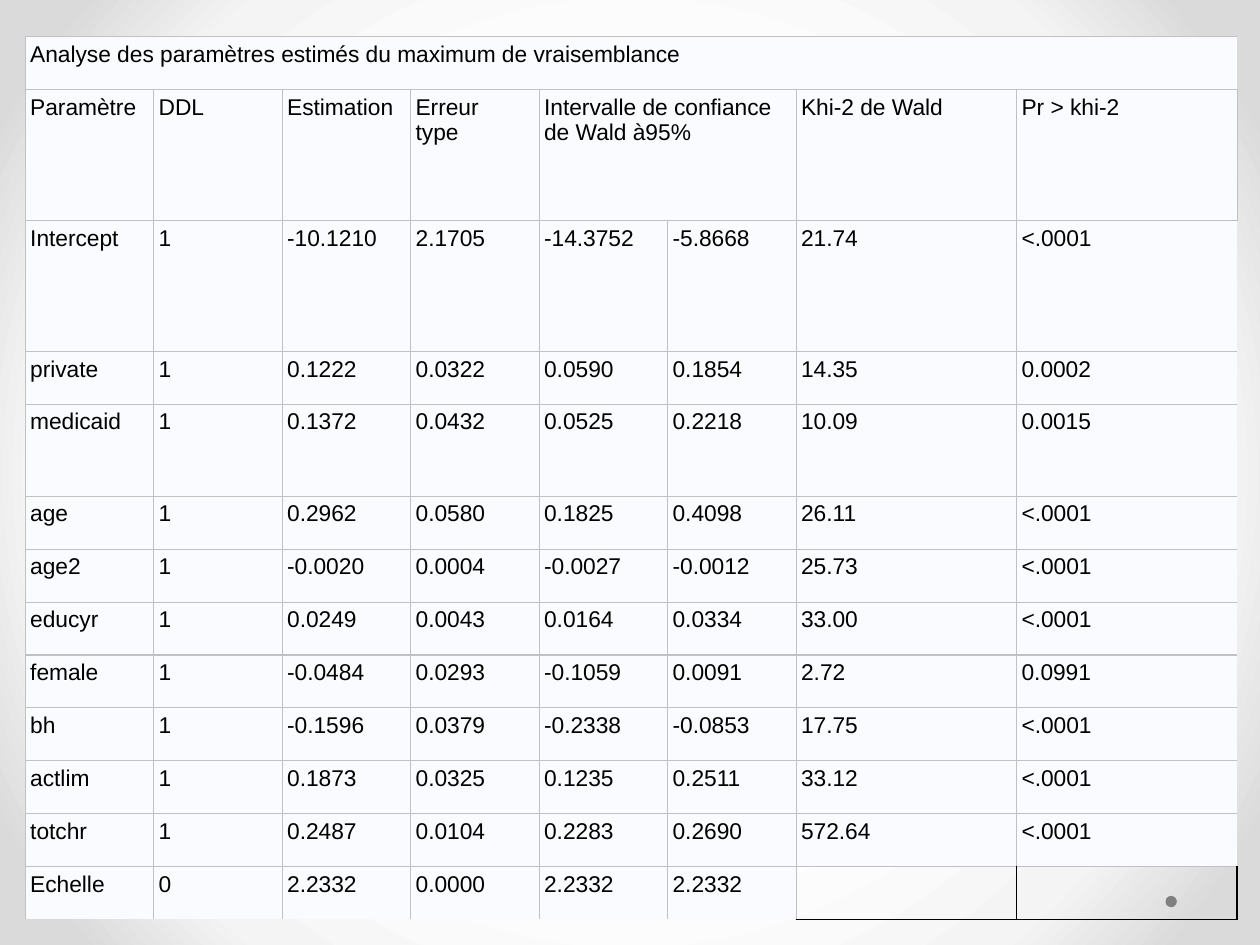
from lxml import etree
from pptx import Presentation, util as u
from pptx.dml.color import RGBColor
from pptx.enum import shapes
from pptx.oxml import ns

WIDTHS = [1.02] * 6 + [1.75] * 2
ROW_HEIGHT = 0.42
TALL_ROWS = {1: 1.04, 2: 1.04, 4: 0.73}
NO_STYLE = "{2D5ABB26-0587-4C30-8999-92F81FD0307C}"

# None marks a cell covered by the merged cell to its left; "" an open cell.
ROWS = [
    ["Analyse des paramètres estimés du maximum de vraisemblance"] + [None] * 7,
    ["Paramètre", "DDL", "Estimation", "Erreur\ntype",
     "Intervalle de confiance\nde Wald à95%", None, "Khi-2 de Wald", "Pr > khi-2"],
    ["Intercept", "1", "-10.1210", "2.1705", "-14.3752", "-5.8668", "21.74", "<.0001"],
    ["private", "1", "0.1222", "0.0322", "0.0590", "0.1854", "14.35", "0.0002"],
    ["medicaid", "1", "0.1372", "0.0432", "0.0525", "0.2218", "10.09", "0.0015"],
    ["age", "1", "0.2962", "0.0580", "0.1825", "0.4098", "26.11", "<.0001"],
    ["age2", "1", "-0.0020", "0.0004", "-0.0027", "-0.0012", "25.73", "<.0001"],
    ["educyr", "1", "0.0249", "0.0043", "0.0164", "0.0334", "33.00", "<.0001"],
    ["female", "1", "-0.0484", "0.0293", "-0.1059", "0.0091", "2.72", "0.0991"],
    ["bh", "1", "-0.1596", "0.0379", "-0.2338", "-0.0853", "17.75", "<.0001"],
    ["actlim", "1", "0.1873", "0.0325", "0.1235", "0.2511", "33.12", "<.0001"],
    ["totchr", "1", "0.2487", "0.0104", "0.2283", "0.2690", "572.64", "<.0001"],
    ["Echelle", "0", "2.2332", "0.0000", "2.2332", "2.2332", "", ""],
]


def rgb(color):
    return RGBColor.from_string(color)


def sub(parent, tag, **attrs):
    return etree.SubElement(parent, ns.qn(tag), attrs)


class Deck:
    font, size, ink = "Arial", 13, "000000"
    cell_fill, grid, inset = "FAFBFE", "C1C1C1", 0.04

    def __init__(self, prs):
        self.s = prs.slides.add_slide(prs.slide_layouts[6])

    def background(self, stops):
        """Radial gradient from (percent, colour) stops."""
        self.s.background.fill.gradient()
        grad = self.s.element.find(".//" + ns.qn("a:gradFill"))
        for child in list(grad):
            grad.remove(child)
        stop_list = sub(grad, "a:gsLst")
        for percent, color in stops:
            stop = sub(stop_list, "a:gs", pos=str(percent * 1000))
            sub(stop, "a:srgbClr", val=color)
        circle = sub(grad, "a:path", path="circle")
        sub(circle, "a:fillToRect", **dict.fromkeys("ltrb", "50000"))

    def dot(self, x, y, size, color):
        sp = self.s.shapes.add_shape(shapes.MSO_SHAPE.OVAL, u.Inches(x), u.Inches(y),
                                     u.Inches(size), u.Inches(size))
        sp.shadow.inherit = False
        sp.fill.solid()
        sp.fill.fore_color.rgb = rgb(color)
        sp.line.fill.background()

    def borders(self, cell, sides, color, points):
        """Line the given sides, a subset of "LRTB" in that order."""
        props = cell._tc.get_or_add_tcPr()
        for side in sides:
            line = sub(props, f"a:ln{side}", w=str(u.Pt(points)))
            sub(sub(line, "a:solidFill"), "a:srgbClr", val=color)

    def cell(self, cell, value, sides):
        cell.margin_left = cell.margin_right = u.Inches(self.inset)
        cell.margin_top = cell.margin_bottom = u.Inches(self.inset)
        p = cell.text_frame.paragraphs[0]
        p.text = value
        p.font.name, p.font.size = self.font, u.Pt(self.size)
        p.font.color.rgb = rgb(self.ink)
        if value:
            self.borders(cell, sides, self.grid, 0.75)
            cell.fill.solid()
            cell.fill.fore_color.rgb = rgb(self.cell_fill)
        else:
            self.borders(cell, "RB", self.ink, 1)
            cell.fill.background()

    def table(self, x, y, rows, widths, heights):
        frame = self.s.shapes.add_table(len(rows), len(widths), u.Inches(x), u.Inches(y),
                                        u.Inches(sum(widths)), u.Inches(sum(heights)))
        table = frame.table
        table.first_row = table.horz_banding = False
        table._tbl.tblPr.find(ns.qn("a:tableStyleId")).text = NO_STYLE
        for column, width in zip(table.columns, widths):
            column.width = u.Inches(width)
        for row, height in zip(table.rows, heights):
            row.height = u.Inches(height)
        for i, values in enumerate(rows):
            for j, value in enumerate(values):
                if value is None:
                    continue
                end = j
                while end + 1 < len(values) and values[end + 1] is None:
                    end += 1
                if end > j:
                    table.cell(i, j).merge(table.cell(i, end))
                sides = "L"
                if end + 1 < len(values) and values[end + 1]:
                    sides += "R"
                sides += "T"
                if i + 1 < len(rows) and rows[i + 1][j] != "":
                    sides += "B"
                self.cell(table.cell(i, j), value, sides)


def main():
    prs = Presentation()
    prs.slide_width, prs.slide_height = u.Inches(10), u.Inches(7.5)
    deck = Deck(prs)
    deck.background([(50, "FFFFFF"), (76, "F4F4F4"), (92, "DADADA")])
    deck.dot(9.25, 7.11, 0.09, "808080")
    heights = [TALL_ROWS.get(i, ROW_HEIGHT) for i in range(len(ROWS))]
    deck.table(0.2, 0.29, ROWS, WIDTHS, heights)
    prs.save("out.pptx")


if __name__ == "__main__":
    main()
